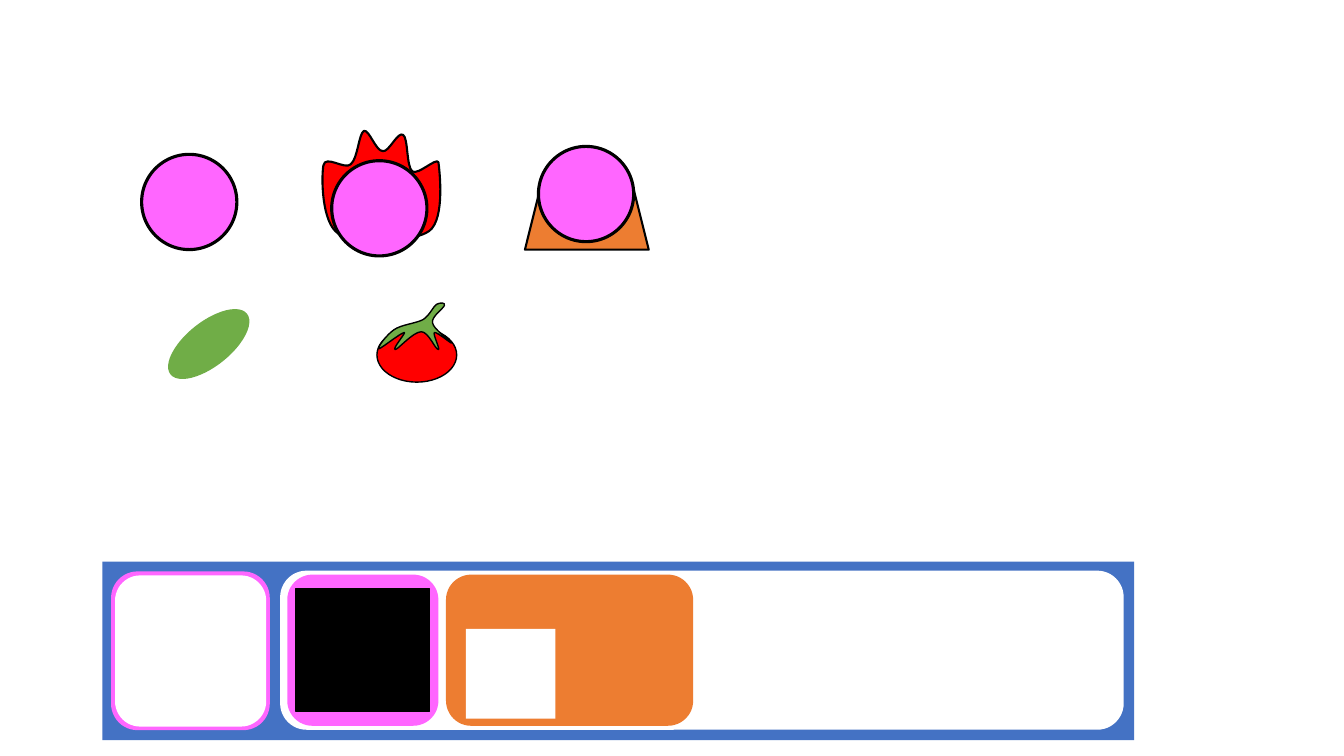
from lxml.etree import SubElement
from pptx import Presentation
from pptx.dml.color import RGBColor
from pptx.enum.shapes import MSO_SHAPE
from pptx.oxml.ns import qn
from pptx.util import Cm, Pt

WHITE = RGBColor(0xFF, 0xFF, 0xFF)
BLACK = RGBColor(0x00, 0x00, 0x00)
BLUE = RGBColor(0x44, 0x72, 0xC4)
PINK = RGBColor(0xFF, 0x66, 0xFF)
ORANGE = RGBColor(0xED, 0x7D, 0x31)
RED = RGBColor(0xFF, 0x00, 0x00)
GREEN = RGBColor(0x70, 0xAD, 0x47)

BALL_SIZE = 2.4

# Outlines in cm: a start point, then two control points and an end point per curve
FLAME = [
    (8.53, 5.89),
    (8.1, 5.61), (8.1, 4.47), (8.15, 4.17),
    (8.2, 3.89), (8.69, 4.29), (8.84, 4.14),
    (9.02, 3.99), (9.04, 3.38), (9.17, 3.3),
    (9.3, 3.25), (9.47, 3.81), (9.65, 3.81),
    (9.8, 3.84), (10.03, 3.3), (10.16, 3.4),
    (10.29, 3.48), (10.24, 4.19), (10.39, 4.32),
    (10.54, 4.42), (11, 3.96), (11.05, 4.09),
    (11.07, 4.24), (11.23, 5.51), (10.82, 5.82),
    (10.41, 6.12), (8.99, 6.15), (8.53, 5.89),
]
TOMATO_STEM = [
    (9.55, 8.79),
    (9.5, 8.76), (9.75, 8.43), (9.93, 8.31),
    (10.11, 8.18), (10.49, 8.15), (10.67, 8.05),
    (10.85, 7.92), (10.92, 7.72), (11, 7.67),
    (11.1, 7.62), (11.23, 7.62), (11.2, 7.7),
    (11.18, 7.77), (10.87, 7.98), (10.9, 8.13),
    (10.92, 8.31), (11.38, 8.59), (11.38, 8.64),
    (11.4, 8.69), (11.02, 8.36), (10.95, 8.38),
    (10.9, 8.41), (11.1, 8.81), (11.05, 8.81),
    (10.97, 8.81), (10.8, 8.36), (10.62, 8.36),
    (10.41, 8.36), (10.03, 8.81), (9.96, 8.81),
    (9.88, 8.79), (10.24, 8.38), (10.19, 8.38),
    (10.11, 8.38), (9.6, 8.79), (9.55, 8.79),
]


def paint(shape, fill, line_width):
    """Fill the shape; a black outline is drawn only when a width is given."""
    shape.shadow.inherit = False
    shape.fill.solid()
    shape.fill.fore_color.rgb = fill
    if line_width:
        shape.line.color.rgb = BLACK
        shape.line.width = Pt(line_width)
    else:
        shape.line.fill.background()


def add_block(shapes, kind, bounds, fill, line_width=0, rotation=0):
    block = shapes.add_shape(kind, *[Cm(length) for length in bounds])
    block.rotation = rotation
    paint(block, fill, line_width)


def bend_segments(shape):
    """Join every three line segments of a freeform into one cubic curve."""
    drawing = next(shape.element.iter(qn("a:path")))
    segments = drawing.findall(qn("a:lnTo"))
    for first in range(0, len(segments), 3):
        curve = SubElement(drawing, qn("a:cubicBezTo"))
        for segment in segments[first:first + 3]:
            curve.append(segment[0])
            drawing.remove(segment)
    drawing.append(drawing.find(qn("a:close")))


def add_outline(shapes, outline, fill, line_width):
    start, *points = [(Cm(left), Cm(top)) for left, top in outline]
    builder = shapes.build_freeform(*start)
    builder.add_line_segments(points, close=True)
    shape = builder.convert_to_shape()
    bend_segments(shape)
    paint(shape, fill, line_width)


def add_ball(shapes, left, top):
    add_block(shapes, MSO_SHAPE.OVAL, (left, top, BALL_SIZE, BALL_SIZE), PINK, 2.25)


def add_panel(page):
    panel = page.shapes.add_group_shape().shapes
    square, rounded = MSO_SHAPE.RECTANGLE, MSO_SHAPE.ROUNDED_RECTANGLE
    add_block(panel, square, (2.58, 14.15, 26, 4.5), BLUE)
    add_block(panel, rounded, (7.06, 14.38, 21.26, 4.01), WHITE)
    # Framed slot at the left
    add_block(panel, rounded, (2.8, 14.4, 4, 4), PINK)
    add_block(panel, rounded, (2.9, 14.5, 3.81, 3.81), WHITE)
    # Pink slot with a black screen
    add_block(panel, rounded, (7.24, 14.48, 3.81, 3.81), PINK)
    add_block(panel, square, (7.46, 14.83, 3.36, 3.1), BLACK, 1)
    # Orange slot with a white square
    add_block(panel, rounded, (11.24, 14.48, 6.23, 3.81), ORANGE)
    add_block(panel, square, (11.74, 15.85, 2.26, 2.26), WHITE)


def add_balls(page):
    add_ball(page.shapes, 3.57, 3.89)

    flaming = page.shapes.add_group_shape().shapes
    add_outline(flaming, FLAME, RED, 1.5)
    add_ball(flaming, 8.36, 4.05)

    seated = page.shapes.add_group_shape().shapes
    add_block(seated, MSO_SHAPE.TRAPEZOID, (13.23, 4.54, 3.12, 1.75), ORANGE, 1.5)
    add_ball(seated, 13.57, 3.69)


def add_plants(page):
    add_block(page.shapes, MSO_SHAPE.OVAL, (4.7, 7.44, 1.12, 2.46), GREEN, rotation=51.6)

    tomato = page.shapes.add_group_shape().shapes
    add_block(tomato, MSO_SHAPE.OVAL, (9.5, 8.26, 2.01, 1.37), RED, 1)
    add_outline(tomato, TOMATO_STEM, GREEN, 1)


def main():
    deck = Presentation()
    deck.slide_width, deck.slide_height = Cm(33.87), Cm(19.05)
    page = deck.slides.add_slide(deck.slide_layouts[6])
    add_panel(page)
    add_balls(page)
    add_plants(page)
    deck.save("out.pptx")


main()
